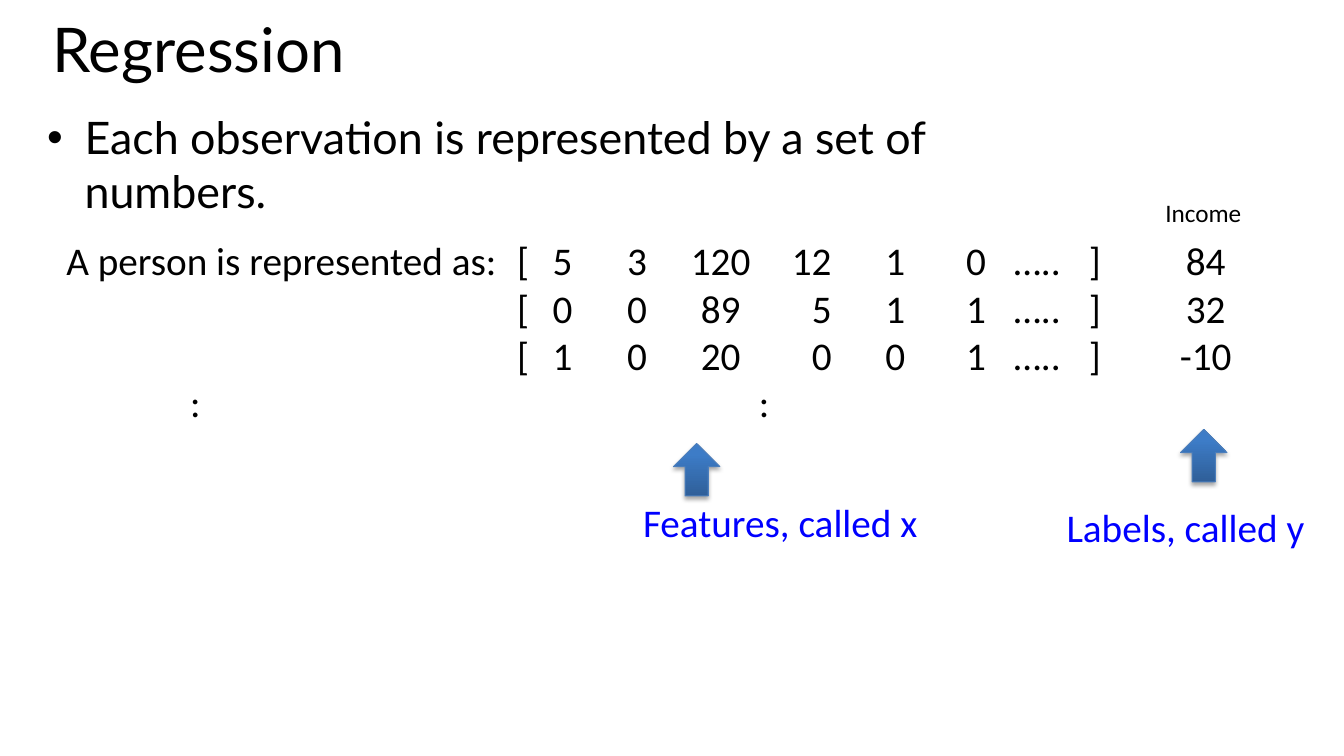
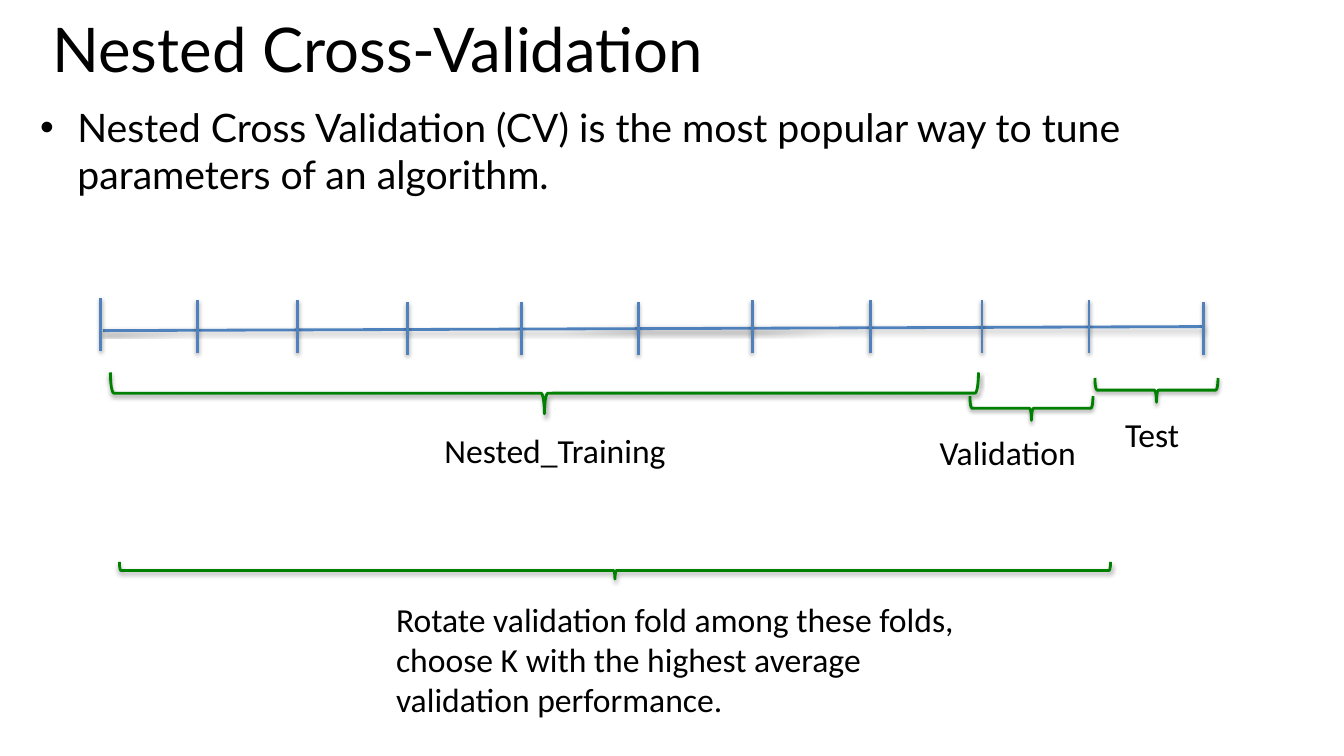
from lxml import etree
from pptx import Presentation
from pptx.dml.color import RGBColor
from pptx.enum.shapes import MSO_CONNECTOR, MSO_SHAPE
from pptx.enum.text import MSO_ANCHOR, MSO_AUTO_SIZE, PP_ALIGN
from pptx.oxml.ns import qn
from pptx.util import Inches, Pt

LINE = MSO_CONNECTOR.STRAIGHT
ARROW, BRACE = MSO_SHAPE.UP_ARROW, MSO_SHAPE.LEFT_BRACE
TOP, LEFT = MSO_ANCHOR.TOP, PP_ALIGN.LEFT
GROW, FIXED = MSO_AUTO_SIZE.SHAPE_TO_FIT_TEXT, MSO_AUTO_SIZE.NONE

# Shared grid: 13.33 columns by 7.5 rows, one inch each
COLS, ROWS = 13.33, 7.5
COLORS = {"text": "000000", "note": "0000FF", "axis": "4F81BD",
          "brace": "008000", "edge": "4B7EBC",
          "dark": "2F5F99", "light": "3D7CC7"}
HEAD, BODY = "Lato", "Calibri"
TITLE = {"box": (0.42, 0.2, 12.6, 1.16), "size": 44}
INDENT = 0.37

# Tab stops of the number rows, measured from the text edge
STOPS = [(4.53, "ctr"), (5.02, "r"), (5.76, "r"), (6.49, "ctr"), (7.59, "r"),
         (8.32, "r"), (9.12, "r"), (9.63, "ctr"), (10.2, "ctr"),
         (11.3, "ctr")]
DOTS = [(1.28, "ctr"), (6.92, "ctr")]
PEOPLE = [("A person is represented as:", [5, 3, 120, 12, 1, 0], 84),
          ("", [0, 0, 89, 5, 1, 1], 32),
          ("", [1, 0, 20, 0, 0, 1], -10)]

# Fold marks (column, top row) and braces (centre, span, depth)
MARKS = [(1, 2.96), (1.96, 2.98), (2.95, 2.98), (4.04, 3), (5.17, 3),
         (6.33, 3), (7.46, 2.98), (8.63, 2.98), (9.74, 2.98),
         (10.8, 2.98), (11.94, 3)]
MARK = 0.52
SPANS = [(11.47, 3.87, 1.22, 0.24), (5.4, 3.9, 8.61, 0.41),
         (10.23, 4.05, 1.22, 0.24), (6.1, 5.66, 9.83, 0.17)]


def grid(*cells):
    return [Inches(cell) for cell in cells]


def color(name):
    return RGBColor.from_string(COLORS[name])


def shade(shape, alpha, dist):
    """Add a soft shadow straight below the shape."""
    effect = etree.SubElement(shape.element.spPr, qn("a:effectLst"))
    outer = etree.SubElement(effect, qn("a:outerShdw"), blurRad=str(Pt(3.1)),
                             dist=str(Pt(dist)), dir="5400000",
                             rotWithShape="0")
    tint = etree.SubElement(outer, qn("a:srgbClr"), val="000000")
    etree.SubElement(tint, qn("a:alpha"), val=str(alpha * 1000))


def stroke(shape, name, width):
    shape.line.color.rgb = color(name)
    shape.line.width = Pt(width)


def text(slide, box, lines, size, font=BODY, ink="text", wrap=True,
         grow=True, **look):
    """Add a text box and return its paragraphs."""
    frame = slide.shapes.add_textbox(*grid(*box)).text_frame
    form = {"word_wrap": wrap, "vertical_anchor": TOP,
            "auto_size": GROW if grow else FIXED}
    for key, value in form.items():
        setattr(frame, key, value)
    frame.text = "\n".join(lines)
    for para in frame.paragraphs:
        for key, value in {"alignment": LEFT, **look}.items():
            setattr(para, key, value)
        for run in para.runs:
            for key, value in {"size": Pt(size), "name": font}.items():
                setattr(run.font, key, value)
            run.font.color.rgb = color(ink)
    return frame.paragraphs


def label(slide, box, words, size, ink="text"):
    text(slide, box, [words], size, ink=ink, wrap=False)


def bullet(slide, box, words, size):
    para = text(slide, box, [words], size, HEAD, grow=False,
                space_before=Pt(14))[0]
    props = para._p.get_or_add_pPr()
    props.set("marL", str(Inches(INDENT)))
    props.set("indent", str(-Inches(INDENT)))
    etree.SubElement(props, qn("a:buFont"), typeface="Arial")
    etree.SubElement(props, qn("a:buChar"), char="\u2022")


def tabs(para, stops):
    group = etree.SubElement(para._p.get_or_add_pPr(), qn("a:tabLst"))
    for place, side in stops:
        etree.SubElement(group, qn("a:tab"), pos=str(Inches(place)), algn=side)


def arrow(slide, left, top):
    shape = slide.shapes.add_shape(ARROW, *grid(left, top, 0.46, 0.52))
    shape.fill.gradient()
    shape.fill.gradient_angle = 90
    ramp = (("dark", 0), ("light", 0.8))
    for stop, (name, place) in zip(shape.fill.gradient_stops, ramp):
        stop.color.rgb = color(name)
        stop.position = place
    stroke(shape, "edge", 0.75)
    shade(shape, 35, 1.8)


def line(slide, *ends):
    shape = slide.shapes.add_connector(LINE, *grid(*ends))
    stroke(shape, "axis", 2)
    shade(shape, 38, 1.6)


def brace(slide, mid, row, span, depth):
    """Add a brace that points down, centred on a grid point."""
    box = grid(mid - depth / 2, row - span / 2, depth, span)
    shape = slide.shapes.add_shape(BRACE, *box)
    shape.rotation = 270
    shape.fill.background()
    stroke(shape, "brace", 2)
    shade(shape, 38, 1.6)


def page(deck, title):
    slide = deck.slides.add_slide(deck.slide_layouts[6])
    text(slide, TITLE["box"], [title], TITLE["size"], HEAD, grow=False,
         line_spacing=0.8)
    return slide


def regress(deck):
    slide = page(deck, "Regression")
    bullet(slide, (0.37, 1.04, 10.44, 5.79),
           "Each observation is represented by a set of numbers.", 32)
    # Number rows
    lines = ["\t".join([lead, "[", *map(str, nums), "\u2026..", "]", str(goal)])
             for lead, nums, goal in PEOPLE]
    paras = text(slide, (0.56, 2.3, 11.97, 2.46), lines + ["\t:\t:"], 28)
    for para in paras[:-1]:
        tabs(para, STOPS)
    tabs(paras[-1], DOTS)
    # Labels and arrows
    label(slide, (10.48, 4.94, 2.6, 0.57), "Labels, called y", 28, "note")
    label(slide, (6.28, 4.89, 2.97, 0.57), "Features, called x", 28, "note")
    arrow(slide, 6.68, 4.4)
    arrow(slide, 11.71, 4.26)
    label(slide, (11.46, 1.91, 0.97, 0.4), "Income", 18)


def nested(deck):
    slide = page(deck, "Nested Cross-Validation")
    bullet(slide, (0.3, 0.98, 12.6, 6.17),
           "Nested Cross Validation (CV) is the most popular way to tune "
           "parameters of an algorithm.", 28)
    # Fold axis
    line(slide, 1.02, 3.28, 11.94, 3.24)
    for col, top in MARKS:
        line(slide, col, top, col, top + MARK)
    # Braces and their labels
    for span in SPANS:
        brace(slide, *span)
    label(slide, (4.31, 4.22, 2.45, 0.5), "Nested_Training", 24)
    label(slide, (11.06, 4.06, 0.78, 0.5), "Test", 24)
    label(slide, (9.22, 4.24, 1.59, 0.5), "Validation", 24)
    text(slide, (3.83, 5.89, 6, 1.31),
         ["Rotate validation fold among these folds, choose K with the "
          "highest average validation performance."], 24)


def main():
    deck = Presentation()
    deck.slide_width, deck.slide_height = grid(COLS, ROWS)
    regress(deck)
    nested(deck)
    deck.save("out.pptx")


main()
